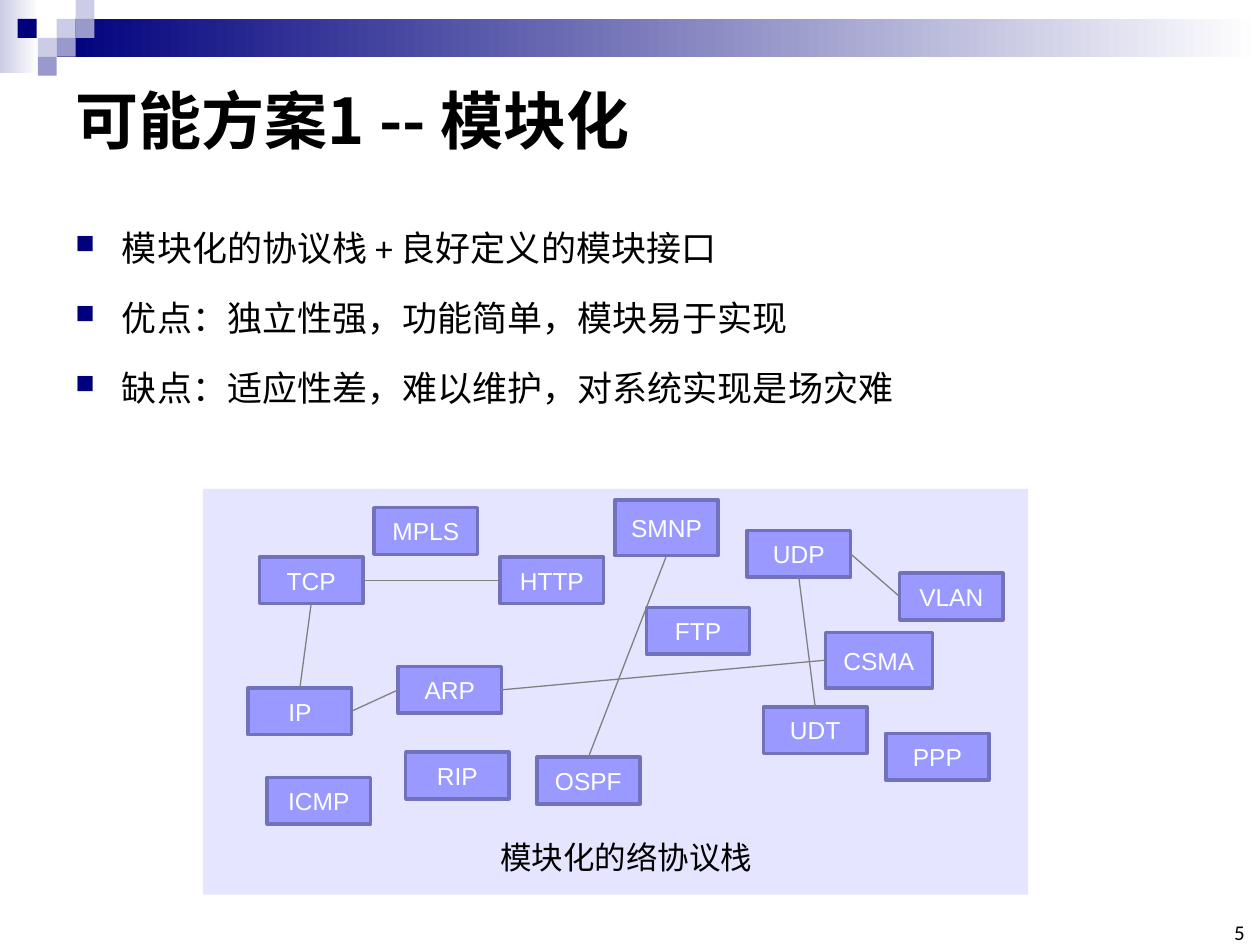
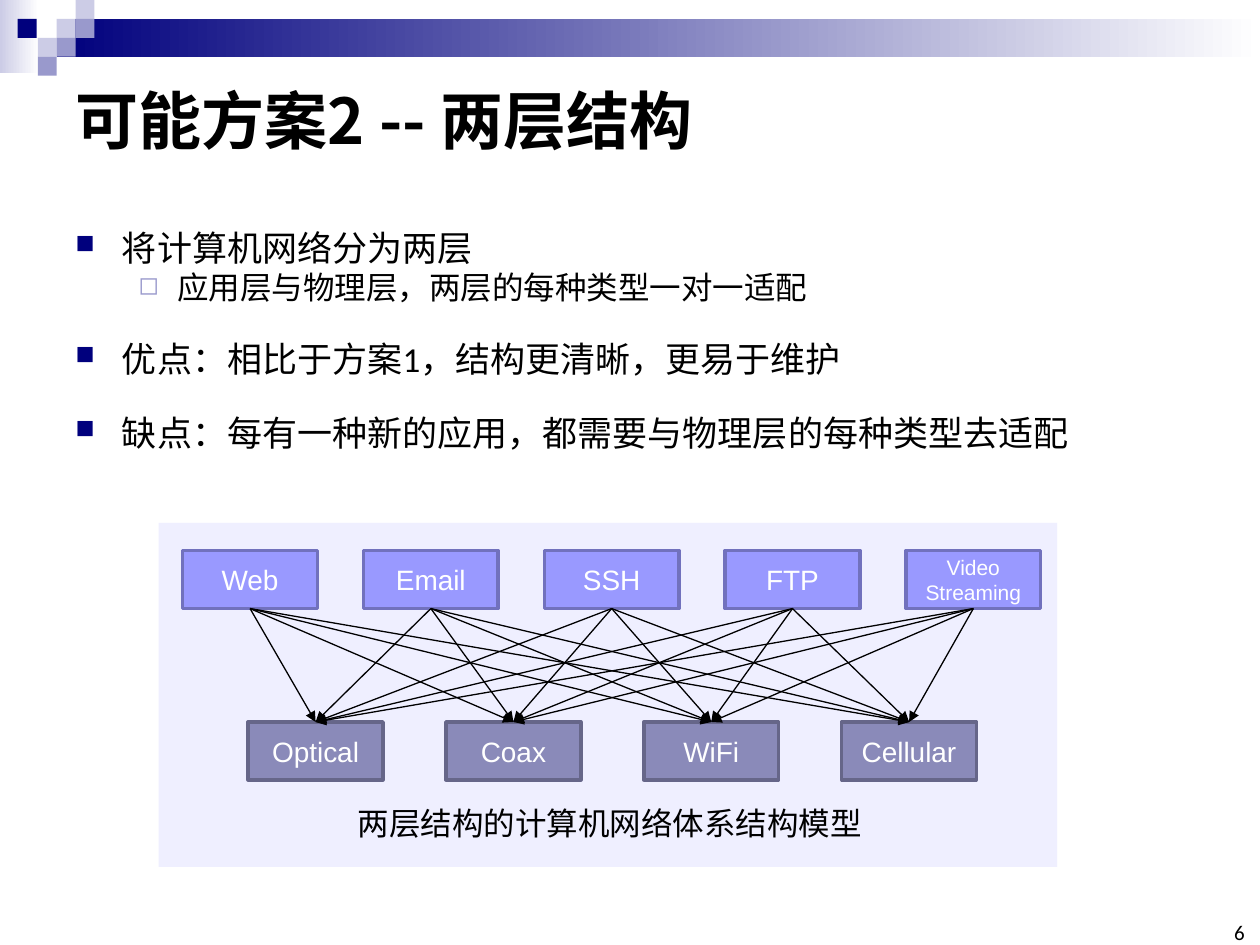
"""Build two slides comparing modular and two-layer network designs."""
from dataclasses import dataclass
from itertools import product
from typing import NamedTuple

from lxml import etree
from pptx import Presentation
from pptx.dml.color import RGBColor
from pptx.enum.lang import MSO_LANGUAGE_ID
from pptx.enum.shapes import MSO_CONNECTOR, MSO_SHAPE
from pptx.enum.text import MSO_ANCHOR, MSO_AUTO_SIZE, PP_ALIGN
from pptx.oxml.ns import qn
from pptx.presentation import Presentation as Deck
from pptx.shapes.autoshape import Shape
from pptx.slide import Slide
from pptx.text.text import TextFrame, _Paragraph as Paragraph
from pptx.util import Inches, Pt

RECTANGLE = MSO_SHAPE.RECTANGLE
STRAIGHT = MSO_CONNECTOR.STRAIGHT
LEFT, CENTER, RIGHT = PP_ALIGN.LEFT, PP_ALIGN.CENTER, PP_ALIGN.RIGHT
MIDDLE, BOTTOM = MSO_ANCHOR.MIDDLE, MSO_ANCHOR.BOTTOM
NO_FIT = MSO_AUTO_SIZE.NONE
CHINESE = MSO_LANGUAGE_ID.SIMPLIFIED_CHINESE
TOP_SIDE, LEFT_SIDE, BOTTOM_SIDE, RIGHT_SIDE = range(4)
TITLE_ONLY = 5


@dataclass(frozen=True)
class Theme:
    navy: str = "00007D"
    lavender: str = "9999CC"
    mist: str = "CCCCE6"
    white: str = "FFFFFF"
    black: str = "000000"
    gray: str = "808080"
    module_fill: str = "9999FF"
    module_line: str = "7171BD"
    medium_fill: str = "8A8AB9"
    medium_line: str = "666689"
    module_panel: str = "E5E5FF"
    layer_panel: str = "EFEFFF"
    heading_font: str = "Noto Sans CJK SC"
    body_font: str = "Calibri"
    label_font: str = "Arial"
    title_size: int = 36
    body_size: int = 20
    detail_size: int = 18
    caption_size: int = 18
    layer_size: int = 16
    module_size: int = 14
    small_size: int = 12
    outline: float = 2
    link: float = 0.75


THEME = Theme()


class Area(NamedTuple):
    left: float
    top: float
    width: float
    height: float


class BulletStyle(NamedTuple):
    mark: str
    color: str
    percent: int
    margin: float
    hanging: float
    size: int
    line_spacing: float


class Bullet(NamedTuple):
    text: str
    style: BulletStyle
    space_before: float


class Label(NamedTuple):
    text: str
    size: int
    fill: str
    line: str


class Module(NamedTuple):
    name: str
    left: float
    top: float
    width: float = 0.82
    height: float = 0.37


class Link(NamedTuple):
    start: str
    start_side: int
    end: str
    end_side: int


MAIN = BulletStyle("■", THEME.navy, 75, 0.37, 0.37, THEME.body_size, 1.5)
DETAIL = BulletStyle("◻", THEME.lavender, 80, 0.81, 0.31, THEME.detail_size, 1)

TILE = 0.15
TILES = (
    (0.45, 0.15, THEME.mist), (0.6, 0, THEME.mist), (0.6, 0.15, THEME.lavender),
    (0.3, 0.3, THEME.mist), (0.14, 0.15, THEME.navy),
    (0.45, 0.3, THEME.lavender), (0.3, 0.45, THEME.lavender),
)

MODULES = (
    Module("TCP", 2.06, 4.42), Module("ARP", 3.16, 5.29),
    Module("HTTP", 3.97, 4.42), Module("IP", 1.97, 5.46),
    Module("OSPF", 4.26, 6.01), Module("CSMA", 6.55, 5.02, 0.85, 0.44),
    Module("RIP", 3.22, 5.97), Module("UDP", 5.93, 4.21),
    Module("PPP", 7.03, 5.82), Module("VLAN", 7.14, 4.55),
    Module("MPLS", 2.97, 4.03), Module("FTP", 5.13, 4.82),
    Module("SMNP", 4.88, 3.97, height=0.44), Module("UDT", 6.06, 5.61),
    Module("ICMP", 2.12, 6.17),
)
LINKS = (
    Link("HTTP", LEFT_SIDE, "TCP", RIGHT_SIDE),
    Link("TCP", BOTTOM_SIDE, "IP", TOP_SIDE),
    Link("IP", RIGHT_SIDE, "ARP", LEFT_SIDE),
    Link("ARP", RIGHT_SIDE, "CSMA", LEFT_SIDE),
    Link("UDT", TOP_SIDE, "UDP", BOTTOM_SIDE),
    Link("UDP", RIGHT_SIDE, "VLAN", LEFT_SIDE),
    Link("SMNP", BOTTOM_SIDE, "OSPF", TOP_SIDE),
)

APPLICATIONS = ("Web", "Email", "SSH", "FTP", "Video Streaming")
MEDIA = ("Optical", "Coax", "WiFi", "Cellular")


def inches(area: Area) -> tuple[Inches, ...]:
    return tuple(Inches(value) for value in area)


def color(code: str) -> RGBColor:
    return RGBColor.from_string(code)


def add_span(para: Paragraph, text: str, font: str, size: int,
             ink: str = THEME.black, bold: bool = False) -> None:
    span = para.add_run()
    span.text = text
    span.font.name = font
    span.font.size = Pt(size)
    span.font.bold = bold
    span.font.color.rgb = color(ink)
    span.font.language_id = CHINESE
    properties = span.font._element
    etree.SubElement(properties, qn("a:ea")).set("typeface", font)


def add_box(page: Slide, area: Area, wrap: bool = True) -> TextFrame:
    frame = page.shapes.add_textbox(*inches(area)).text_frame
    frame.word_wrap = wrap
    return frame


def add_rectangle(page: Slide, area: Area, *fills: str) -> Shape:
    box = page.shapes.add_shape(RECTANGLE, *inches(area))
    box.shadow.inherit = False
    box.line.fill.background()
    if len(fills) == 1:
        box.fill.solid()
        box.fill.fore_color.rgb = color(fills[0])
    else:
        box.fill.gradient()
        box.fill.gradient_angle = 0
        for stop, code in zip(box.fill.gradient_stops, fills):
            stop.color.rgb = color(code)
    return box


def add_label(page: Slide, area: Area, label: Label) -> Shape:
    box = add_rectangle(page, area, label.fill)
    box.line.color.rgb = color(label.line)
    box.line.width = Pt(THEME.outline)
    frame = box.text_frame
    frame.word_wrap = True
    frame.vertical_anchor = MIDDLE
    para = frame.paragraphs[0]
    para.alignment = CENTER
    add_span(para, label.text, THEME.label_font, label.size, THEME.white)
    return box


def add_link(page: Slide, start: Shape, start_side: int, end: Shape, end_side: int,
             ink: str, arrow: bool = False) -> None:
    link = page.shapes.add_connector(STRAIGHT, 0, 0, 0, 0)
    link.begin_connect(start, start_side)
    link.end_connect(end, end_side)
    link.line.color.rgb = color(ink)
    link.line.width = Pt(THEME.link)
    properties = link.element.spPr
    if arrow:
        outline = properties.find(qn("a:ln"))
        etree.SubElement(outline, qn("a:tailEnd")).set("type", "triangle")
    etree.SubElement(properties, qn("a:effectLst"))


def add_caption(page: Slide, area: Area, text: str) -> None:
    frame = add_box(page, area, wrap=False)
    frame.vertical_anchor = MIDDLE
    para = frame.paragraphs[0]
    para.alignment = CENTER
    add_span(para, text, THEME.heading_font, THEME.caption_size)


def add_bullets(page: Slide, area: Area, bullets: tuple[Bullet, ...]) -> None:
    frame = add_box(page, area)
    for index, (text, style, space_before) in enumerate(bullets):
        para = frame.add_paragraph() if index else frame.paragraphs[0]
        para.line_spacing = style.line_spacing
        para.space_before = Pt(space_before)
        properties = para._p.get_or_add_pPr()
        properties.set("marL", str(Inches(style.margin)))
        properties.set("indent", str(-Inches(style.hanging)))
        mark_color = etree.SubElement(properties, qn("a:buClr"))
        etree.SubElement(mark_color, qn("a:srgbClr")).set("val", style.color)
        etree.SubElement(properties, qn("a:buSzPct")).set("val", str(style.percent * 1000))
        etree.SubElement(properties, qn("a:buChar")).set("char", style.mark)
        add_span(para, text, THEME.body_font, style.size)


def add_page(deck: Deck, title: str, number: int) -> Slide:
    page = deck.slides.add_slide(deck.slide_layouts[TITLE_ONLY])
    add_rectangle(page, Area(0, 0, 0.31, 0.58), THEME.mist, THEME.white)
    add_rectangle(page, Area(0.45, 0.15, 9.55, 0.3), THEME.navy, THEME.white)
    for left, top, fill in TILES:
        add_rectangle(page, Area(left, top, TILE, TILE), fill)

    heading = page.shapes.title
    heading.left, heading.top, heading.width, heading.height = inches(Area(0.5, 0.5, 9, 0.89))
    frame = heading.text_frame
    frame.auto_size = NO_FIT
    frame.vertical_anchor = MIDDLE
    frame.paragraphs[0].alignment = LEFT
    add_span(frame.paragraphs[0], title, THEME.heading_font, THEME.title_size, bold=True)

    footer = add_box(page, Area(9.65, 7.33, 0.23, 0.17))
    footer.margin_left = footer.margin_right = footer.margin_top = footer.margin_bottom = 0
    footer.vertical_anchor = BOTTOM
    footer.paragraphs[0].alignment = RIGHT
    add_span(footer.paragraphs[0], str(number), THEME.body_font, THEME.small_size)
    return page


def build_modular_page(deck: Deck) -> None:
    page = add_page(deck, "可能方案1 -- 模块化", 5)
    add_bullets(page, Area(0.5, 1.58, 9, 1.97), (
        Bullet("模块化的协议栈 + 良好定义的模块接口", MAIN, 4),
        Bullet("优点：独立性强，功能简单，模块易于实现", MAIN, 4),
        Bullet("缺点：适应性差，难以维护，对系统实现是场灾难", MAIN, 4),
    ))
    add_rectangle(page, Area(1.61, 3.88, 6.55, 3.22), THEME.module_panel)
    add_caption(page, Area(3.86, 6.6, 2.22, 0.4), "模块化的络协议栈")
    boxes = {
        name: add_label(page, Area(*place), Label(
            name, THEME.module_size, THEME.module_fill, THEME.module_line))
        for name, *place in MODULES
    }
    for start, start_side, end, end_side in LINKS:
        add_link(page, boxes[start], start_side, boxes[end], end_side, THEME.gray)


def add_layer(page: Slide, names: tuple[str, ...], left: float, top: float,
              pitch: float, fill: str, line: str) -> list[Shape]:
    return [
        add_label(page, Area(left + index * pitch, top, 1.07, 0.46), Label(
            name, THEME.small_size if " " in name else THEME.layer_size, fill, line))
        for index, name in enumerate(names)
    ]


def build_two_layer_page(deck: Deck) -> None:
    page = add_page(deck, "可能方案2 -- 两层结构", 6)
    add_bullets(page, Area(0.5, 1.58, 9, 2.9), (
        Bullet("将计算机网络分为两层", MAIN, 4),
        Bullet("应用层与物理层，两层的每种类型一对一适配", DETAIL, 0),
        Bullet("优点：相比于方案1，结构更清晰，更易于维护", MAIN, 6),
        Bullet("缺点：每有一种新的应用，都需要与物理层的每种类型去适配", MAIN, 6),
    ))
    add_rectangle(page, Area(1.26, 4.15, 7.13, 2.73), THEME.layer_panel)
    applications = add_layer(page, APPLICATIONS, 1.45, 4.37, 1.435,
                             THEME.module_fill, THEME.module_line)
    media = add_layer(page, MEDIA, 1.97, 5.73, 1.57, THEME.medium_fill, THEME.medium_line)
    for application, medium in product(applications, media):
        add_link(page, application, BOTTOM_SIDE, medium, TOP_SIDE, THEME.black, arrow=True)
    add_caption(page, Area(2.72, 6.33, 4.24, 0.4), "两层结构的计算机网络体系结构模型")


def main() -> None:
    deck = Presentation()
    deck.slide_width, deck.slide_height = Inches(10), Inches(7.5)
    build_modular_page(deck)
    build_two_layer_page(deck)
    deck.save("out.pptx")


if __name__ == "__main__":
    main()
